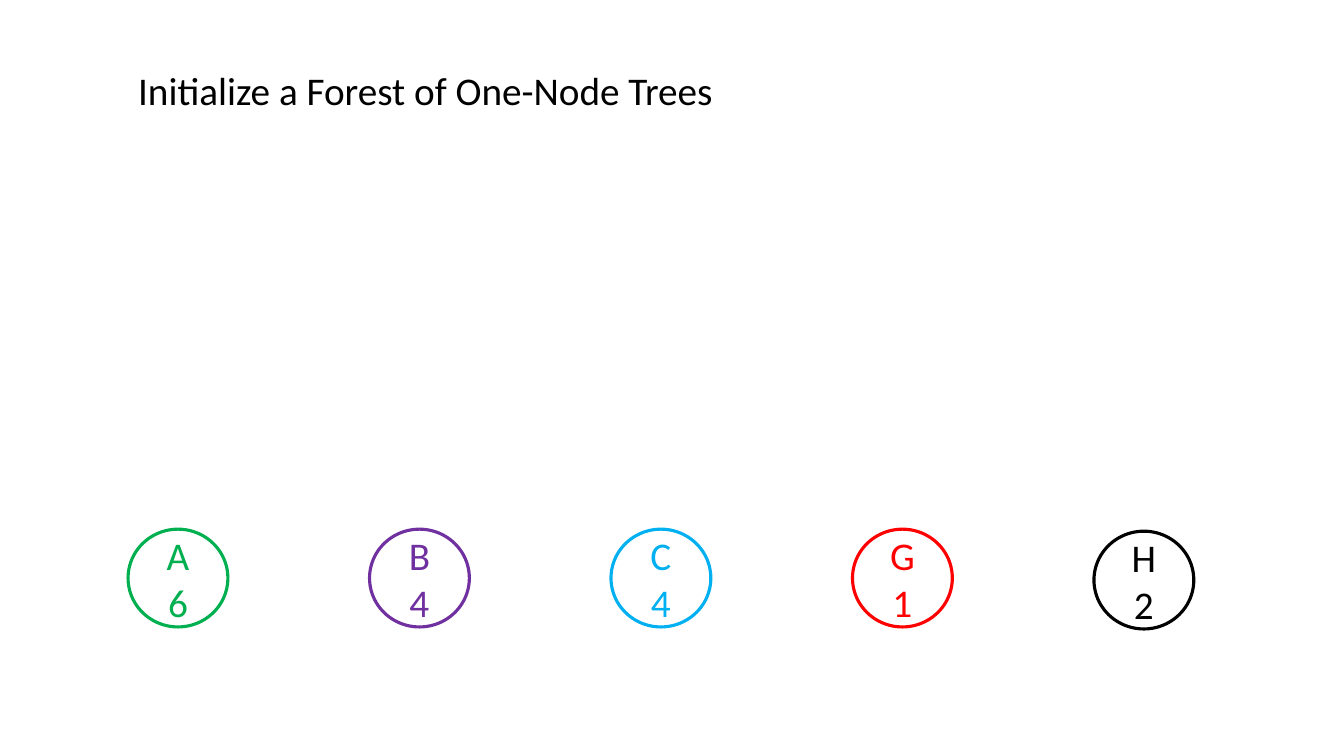
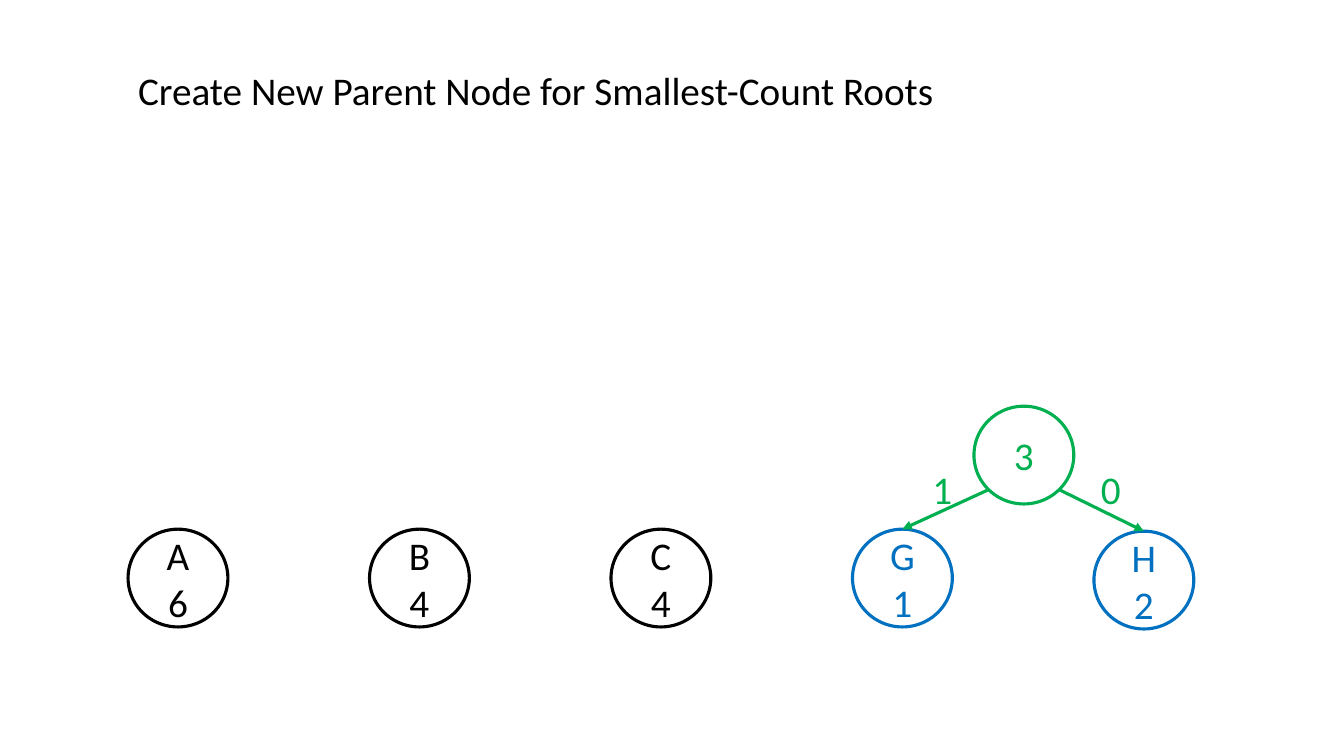
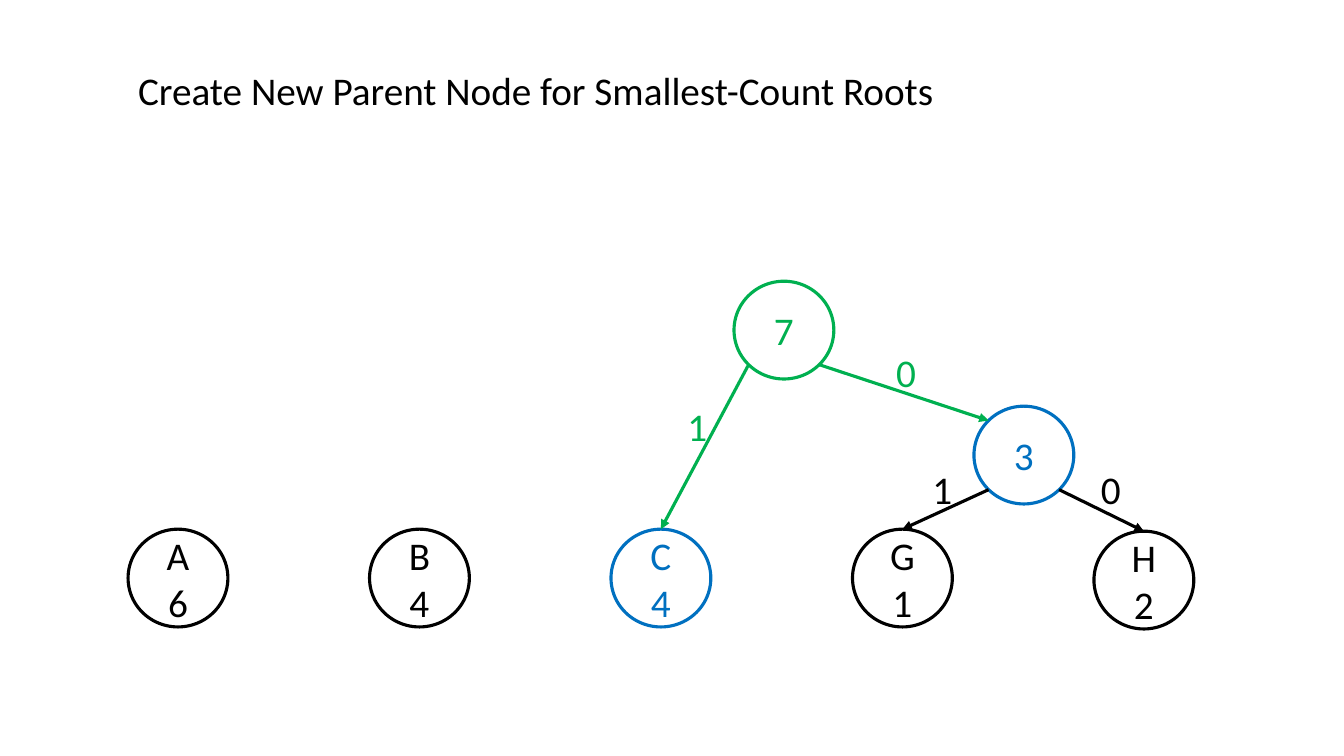
"""Build three slides that grow a Huffman tree from a forest of nodes."""
from dataclasses import dataclass
from math import sqrt

from lxml.etree import SubElement
from pptx import Presentation
from pptx.dml.color import RGBColor
from pptx.enum.shapes import MSO_CONNECTOR, MSO_SHAPE
from pptx.enum.text import MSO_ANCHOR, MSO_AUTO_SIZE, PP_ALIGN
from pptx.oxml.ns import qn
from pptx.util import Inches, Pt


@dataclass(frozen=True)
class Theme:
    font: str = "Calibri"
    text_size: float = 28
    line_width: float = 2.25
    ink: str = "000000"
    created: str = "00B050"
    merged: str = "0070C0"
    violet: str = "7030A0"
    sky: str = "00B0F0"
    red: str = "FF0000"
    node_width: float = 0.99
    node_height: float = 0.97


THEME = Theme()
COUNTS = {"A": 6, "B": 4, "C": 4, "G": 1, "H": 2}
FIRST_LEAF, LAST_LEAF = 1.27, 10.85
LEAF_TOP, LAST_LEAF_TOP = 5.25, 5.27
LEFT_BIT, RIGHT_BIT = "1", "0"
MERGE_TITLE = "Create New Parent Node for Smallest-Count Roots"


def write(paragraph, text, color, align):
    paragraph.alignment = align
    run = paragraph.add_run()
    run.text = text
    run.font.name = THEME.font
    run.font.size = Pt(THEME.text_size)
    run.font.color.rgb = RGBColor.from_string(color)


def set_line(line, color):
    line.color.rgb = RGBColor.from_string(color)
    line.width = Pt(THEME.line_width)


def add_titled_slide(deck, heading):
    slide = deck.slides.add_slide(deck.slide_layouts[5])
    title = slide.shapes.title
    title.left, title.top = Inches(1.27), Inches(0.61)
    title.width, title.height = Inches(12.06), Inches(0.57)
    frame = title.text_frame
    frame.word_wrap = True
    frame.auto_size = MSO_AUTO_SIZE.NONE
    frame.vertical_anchor = MSO_ANCHOR.TOP
    write(frame.paragraphs[0], heading, THEME.ink, PP_ALIGN.LEFT)
    return slide


def add_node(slide, left, top, lines, color):
    node = slide.shapes.add_shape(
        MSO_SHAPE.OVAL, Inches(left), Inches(top),
        Inches(THEME.node_width), Inches(THEME.node_height))
    node.shadow.inherit = False
    node.fill.background()
    set_line(node.line, color)
    frame = node.text_frame
    for index, text in enumerate(lines):
        paragraph = frame.add_paragraph() if index else frame.paragraphs[0]
        write(paragraph, text, color, PP_ALIGN.CENTER)
    return node


def add_leaves(slide, colors):
    pitch = (LAST_LEAF - FIRST_LEAF) / (len(COUNTS) - 1)
    leaves = {}
    for index, (letter, count) in enumerate(COUNTS.items()):
        top = LAST_LEAF_TOP if letter == "H" else LEAF_TOP
        leaves[letter] = add_node(
            slide, FIRST_LEAF + index * pitch, top,
            (letter, str(count)), colors.get(letter, THEME.ink))
    return leaves


def rim_point(node, across, down):
    """Return the diagonal point of a node's rim, each direction being -1 or 1."""
    reach = 1 / sqrt(2)
    x = node.left + node.width / 2 * (1 + across * reach)
    y = node.top + node.height / 2 * (1 + down * reach)
    return int(x), int(y)


def add_branch(slide, parent, child, bit, color, label_at, to_top=True):
    side = -1 if bit == LEFT_BIT else 1
    start, end = rim_point(parent, side, 1), rim_point(child, -side, -1)
    branch = slide.shapes.add_connector(MSO_CONNECTOR.STRAIGHT, *start, *end)
    if to_top:
        branch.end_connect(child, 0)
    set_line(branch.line, color)
    SubElement(branch.line._get_or_add_ln(), qn("a:tailEnd"), type="triangle")
    SubElement(branch._element.spPr, qn("a:effectLst"))

    left, top = label_at
    label = slide.shapes.add_textbox(
        Inches(left), Inches(top), Inches(0.35), Inches(0.57))
    label.text_frame.word_wrap = True
    align = PP_ALIGN.CENTER if bit == LEFT_BIT else PP_ALIGN.LEFT
    write(label.text_frame.paragraphs[0], bit, color, align)


def add_first_parent(slide, leaves, node_color, branch_color):
    parent = add_node(slide, 9.66, 4.03, ("3",), node_color)
    add_branch(slide, parent, leaves["G"], LEFT_BIT, branch_color, (9.15, 4.57))
    add_branch(slide, parent, leaves["H"], RIGHT_BIT, branch_color, (10.82, 4.57))
    return parent


def add_second_parent(slide, leaves, first_parent):
    color = THEME.created
    parent = add_node(slide, 7.28, 2.79, ("7",), color)
    add_branch(slide, parent, leaves["C"], LEFT_BIT, color, (6.72, 3.94))
    add_branch(slide, parent, first_parent, RIGHT_BIT, color, (8.79, 3.41),
               to_top=False)


def main():
    deck = Presentation()
    deck.slide_width, deck.slide_height = Inches(13.33), Inches(7.5)

    forest = add_titled_slide(deck, "Initialize a Forest of One-Node Trees")
    add_leaves(forest, {"A": THEME.created, "B": THEME.violet,
                        "C": THEME.sky, "G": THEME.red})

    first_merge = add_titled_slide(deck, MERGE_TITLE)
    leaves = add_leaves(first_merge, {"G": THEME.merged, "H": THEME.merged})
    add_first_parent(first_merge, leaves, THEME.created, THEME.created)

    second_merge = add_titled_slide(deck, MERGE_TITLE)
    leaves = add_leaves(second_merge, {"C": THEME.merged})
    first_parent = add_first_parent(
        second_merge, leaves, THEME.merged, THEME.ink)
    add_second_parent(second_merge, leaves, first_parent)

    deck.save("out.pptx")


if __name__ == "__main__":
    main()
